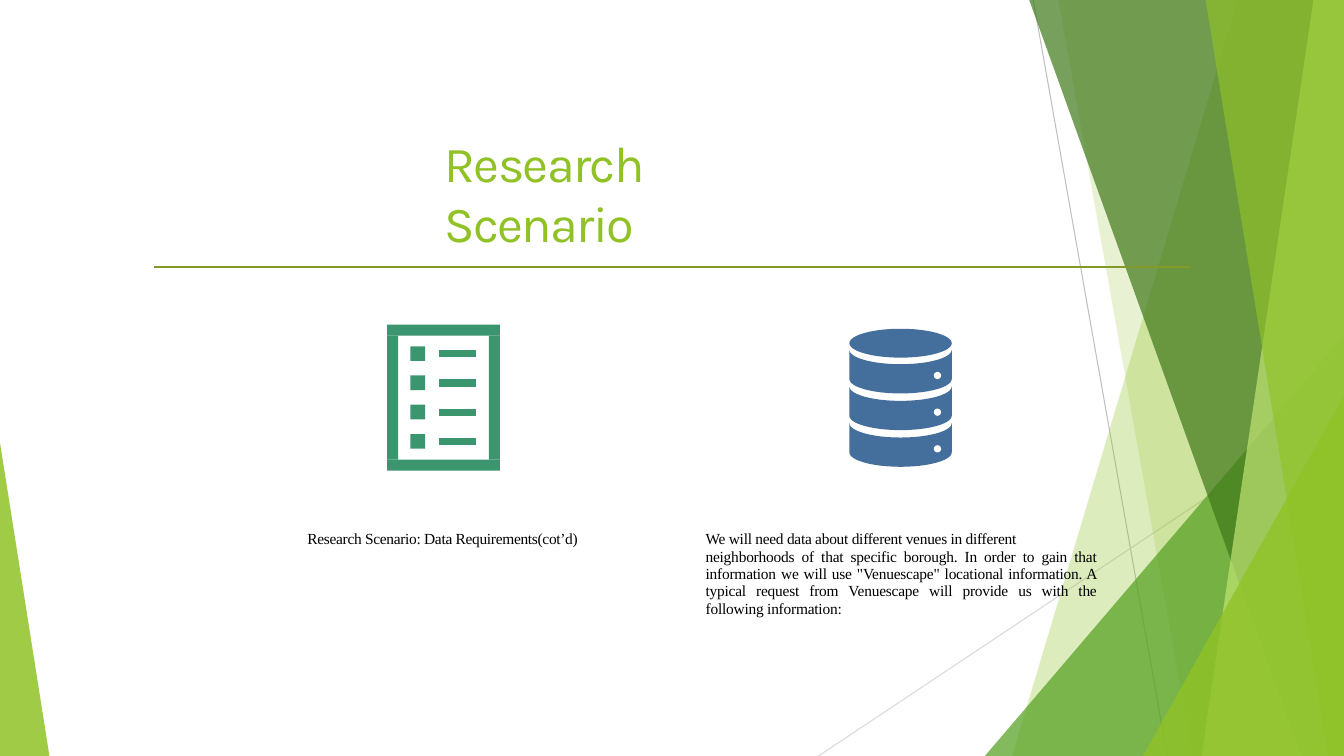
from math import cos, pi, sin

from lxml.etree import SubElement
from pptx import Presentation
from pptx.dml.color import RGBColor
from pptx.enum.shapes import MSO_CONNECTOR, MSO_SHAPE
from pptx.enum.text import MSO_ANCHOR, MSO_AUTO_SIZE, PP_ALIGN
from pptx.oxml.ns import qn
from pptx.util import Inches, Pt

LIME, CHECKLIST_GREEN, DATABASE_BLUE = "90C226", "3B966F", "446F9D"

presentation = Presentation()
presentation.slide_width = Inches(13.33)
presentation.slide_height = Inches(7.5)
slide = presentation.slides.add_slide(presentation.slide_layouts[6])
shapes = slide.shapes

# The slide is a grid of 100 columns by 100 rows
COLUMN = presentation.slide_width / 100
ROW = presentation.slide_height / 100


def paint(shape, color, opacity=100):
    """Give a shape a plain fill without outline or shadow."""
    shape.shadow.inherit = False
    shape.fill.solid()
    shape.fill.fore_color.rgb = RGBColor.from_string(color)
    shape.line.fill.background()
    if opacity < 100:
        color_element = shape.fill._xPr.find(qn("a:solidFill"))[0]
        SubElement(color_element, qn("a:alpha"), val=str(opacity * 1000))


def draw_line(start_column, start_row, end_column, end_row, color, points):
    line = shapes.add_connector(
        MSO_CONNECTOR.STRAIGHT,
        int(start_column * COLUMN), int(start_row * ROW),
        int(end_column * COLUMN), int(end_row * ROW))
    line.line.color.rgb = RGBColor.from_string(color)
    line.line.width = Pt(points)
    SubElement(line._element.spPr, qn("a:effectLst"))


# Background facets
draw_line(76.88, 0, 86.85, 100, "BFBFBF", 0.75)
draw_line(100, 53.73, 60.9, 100, "D9D9D9", 0.75)

# Facets: top column, bottom column; triangles: left column, top row
decorations = [
    ("facet", 92.1, 75.3, LIME, 30),
    ("facet", 78.75, 88.73, LIME, 20),
    ("triangle", 73.28, 44.4, "54A021", 72),
    ("facet", 76.58, 96.83, "3F7819", 70),
    ("facet", 97.73, 89.4, "C0E474", 70),
    ("facet", 89.7, 98.85, LIME, 65),
    ("triangle", 85.05, 52.4, LIME, 80),
]
for kind, first, second, color, opacity in decorations:
    if kind == "facet":
        builder = shapes.build_freeform(int(first * COLUMN), 0)
        corners = [(100, 0), (100, 100), (second, 100)]
        builder.add_line_segments(
            [(int(column * COLUMN), int(row * ROW)) for column, row in corners])
        decoration = builder.convert_to_shape()
    else:
        decoration = shapes.add_shape(
            MSO_SHAPE.ISOSCELES_TRIANGLE, int(first * COLUMN), int(second * ROW),
            int((100 - first) * COLUMN), int((100 - second) * ROW))
        decoration.adjustments[0] = 1
    paint(decoration, color, opacity)

left_triangle = shapes.add_shape(
    MSO_SHAPE.ISOSCELES_TRIANGLE, 0, int(58.53 * ROW),
    int(3.68 * COLUMN), int(41.47 * ROW))
left_triangle.adjustments[0] = 0
paint(left_triangle, LIME, 85)

draw_line(11.48, 35.33, 88.58, 35.33, "83992A", 1.2)

# Checklist icon: four frame bars, then bullets with dashes
checklist_blocks = [
    (28.8, 60.8, 8.4, 1.47),
    (28.8, 44.4, 0.83, 16.4),
    (28.8, 42.93, 8.4, 1.47),
    (36.37, 44.4, 0.83, 16.4),
]
for item in range(4):
    item_row = 45.8 + 3.87 * item
    checklist_blocks.append((30.53, item_row, 1.1, 1.95))
    draw_line(32.7, item_row + 0.98, 35.4, item_row + 0.98, CHECKLIST_GREEN, 5.21)
for left, top, width, height in checklist_blocks:
    block = shapes.add_shape(
        MSO_SHAPE.RECTANGLE, int(left * COLUMN), int(top * ROW),
        int(width * COLUMN), int(height * ROW))
    paint(block, CHECKLIST_GREEN)

# Database icon: a lid and three curved layers
center, radius_columns, radius_rows = 67.01, 3.81, 1.91
ovals = [(center, 45.4, radius_columns, radius_rows, DATABASE_BLUE)]
arc = [(cos(pi * step / 24), sin(pi * step / 24)) for step in range(25)]
for layer in range(3):
    layer_row = 46.27 + 4.85 * layer
    upper_edge = [(x, layer_row + radius_rows * y) for x, y in arc]
    lower_edge = [(x, layer_row + 3.87 + radius_rows * y) for x, y in reversed(arc)]
    outline = [(int((center + radius_columns * x) * COLUMN), int(row * ROW))
               for x, row in upper_edge + lower_edge]
    builder = shapes.build_freeform(*outline[0])
    builder.add_line_segments(outline[1:])
    paint(builder.convert_to_shape(), DATABASE_BLUE)
    ovals.append((69.75, layer_row + 3.4, 0.27, 0.48, "FFFFFF"))
for column, row, half_width, half_height, color in ovals:
    oval = shapes.add_shape(
        MSO_SHAPE.OVAL,
        int((column - half_width) * COLUMN), int((row - half_height) * ROW),
        int(2 * half_width * COLUMN), int(2 * half_height * ROW))
    paint(oval, color)

# Texts: place, wording, font, size, colour, letter spacing (1/100 pt),
# alignment, line spacing, space before, top inset
SERIF = "Times New Roman"
texts = [
    ((33, 17.33, 28.8, 8.27), "Research Scenario", "Karla", 36, LIME, -115,
     PP_ALIGN.JUSTIFY, 1, 1.1, 0.01),
    ((22.8, 69.87, 20.33, 2.8), "Research Scenario: Data Requirements(cot’d)",
     SERIF, 11, "000000", -22, PP_ALIGN.LEFT, 1, 1, 0.01),
    ((52.43, 69.87, 29.18, 2.8),
     "We will need data about different venues in different",
     SERIF, 11, "000000", -21, PP_ALIGN.LEFT, 1, 1, 0.01),
    ((52.43, 72.13, 29.18, 9.73),
     "neighborhoods of that specific borough. In order to gain that information "
     "we will use \"Venuescape\" locational information. A typical request from "
     "Venuescape will provide us with the following information:",
     SERIF, 11, "000000", -18, PP_ALIGN.JUSTIFY, 0.94, 1.9, 0.03),
]
for (place, wording, font_name, size, color, letter_spacing,
     alignment, line_spacing, space_before, top_inset) in texts:
    left, top, width, height = place
    text_box = shapes.add_textbox(
        int(left * COLUMN), int(top * ROW), int(width * COLUMN), int(height * ROW))
    frame = text_box.text_frame
    frame.word_wrap = True
    frame.auto_size = MSO_AUTO_SIZE.SHAPE_TO_FIT_TEXT
    frame.vertical_anchor = MSO_ANCHOR.TOP
    frame.margin_left = Inches(0.01)
    frame.margin_right = frame.margin_bottom = 0
    frame.margin_top = Inches(top_inset)
    paragraph = frame.paragraphs[0]
    paragraph.alignment = alignment
    paragraph.line_spacing = line_spacing
    paragraph.space_before = Pt(space_before)
    paragraph.font.name = font_name
    paragraph.font.size = Pt(size)
    paragraph.font.color.rgb = RGBColor.from_string(color)
    run = paragraph.add_run()
    run.text = wording
    run._r.get_or_add_rPr().set("spc", str(letter_spacing))

presentation.save("out.pptx")
